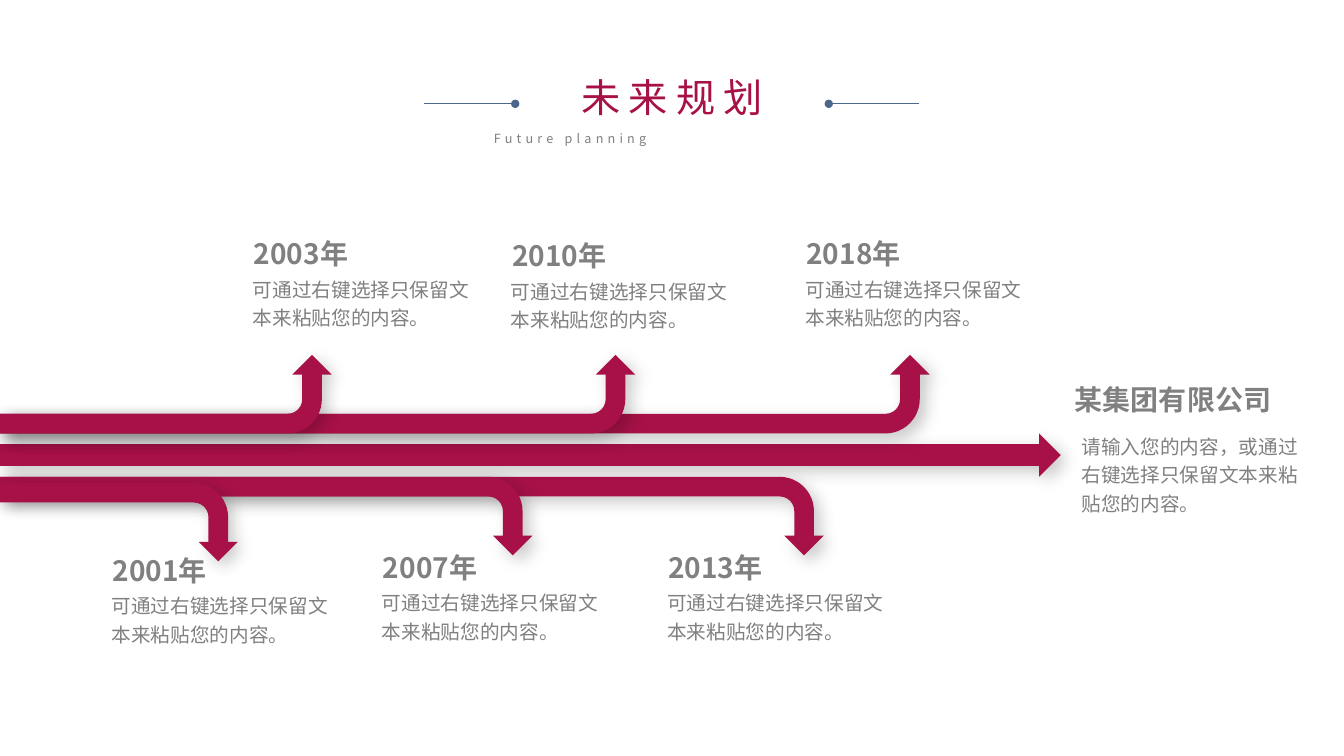
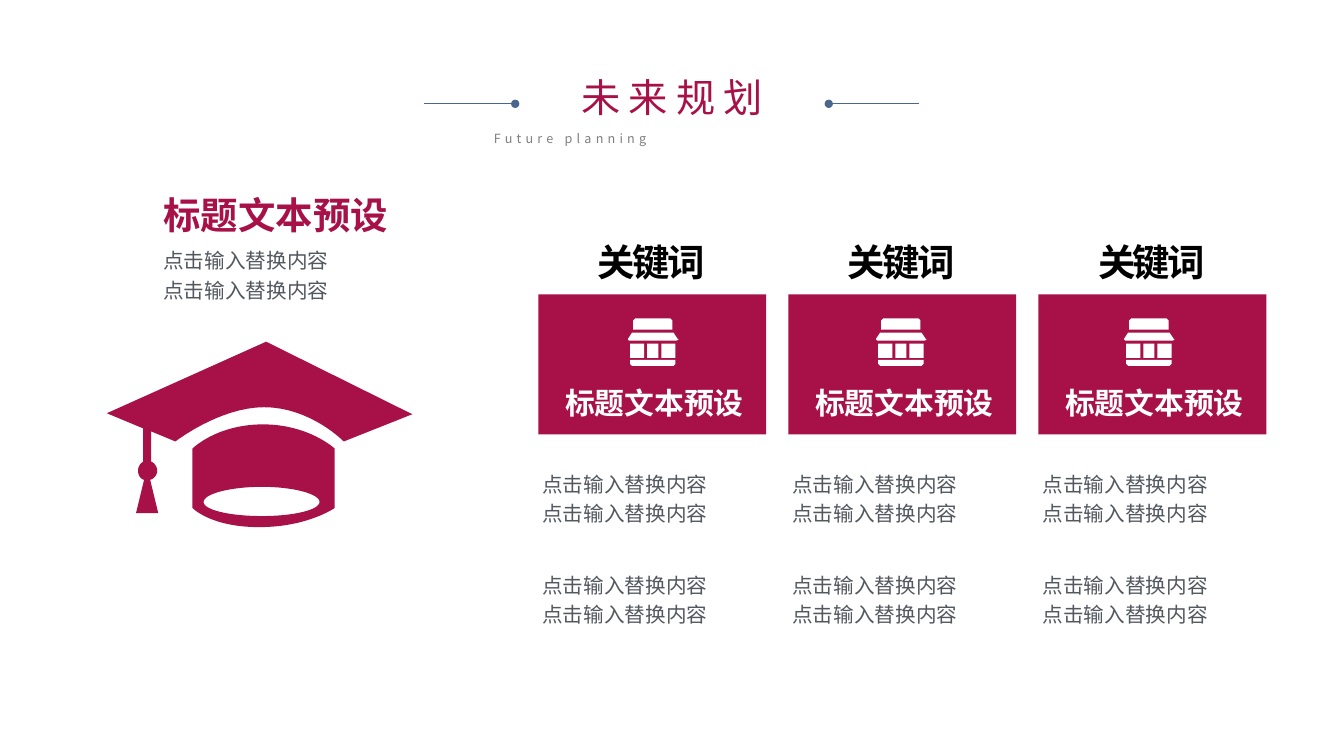
from lxml.etree import SubElement
from pptx import Presentation
from pptx.dml.color import RGBColor
from pptx.enum.shapes import MSO_CONNECTOR, MSO_SHAPE
from pptx.enum.text import MSO_ANCHOR, MSO_AUTO_SIZE, PP_ALIGN
from pptx.oxml.ns import qn
from pptx.util import Pt

EMU_PER_PX = 9144  # 100 px to the inch
FONT = "Noto Sans CJK SC"
CRIMSON = RGBColor(0xA7, 0x11, 0x47)
STEEL = RGBColor(0x4C, 0x67, 0x8E)
GRAY = RGBColor(0x80, 0x80, 0x80)
SLATE = RGBColor(0x53, 0x58, 0x5F)
WHITE = RGBColor(0xFF, 0xFF, 0xFF)
BLACK = RGBColor(0x00, 0x00, 0x00)

TITLE, SUBTITLE = "未来规划", "Future planning"
TITLE_RULES = [(421, 511), (912, 822)]
TITLE_RULE_Y = 103

MILESTONE_TEXT = "可通过右键选择只保留文本来粘贴您的内容。"
MILESTONES = [  # year, left, top
    ("2001年", 102, 544),
    ("2003年", 242, 230),
    ("2007年", 370, 541),
    ("2010年", 498, 232),
    ("2013年", 653, 541),
    ("2018年", 790, 230),
]
COMPANY = "某集团有限公司"
COMPANY_TEXT = "请输入您的内容，或通过右键选择只保留文本来粘贴您的内容。"
MAIN_ARROW = (0, 430, 1052, 43)
BRANCH_HEIGHT = 78
BRANCHES = [  # length, top, points up
    (922, 352, True),
    (817, 473, False),
    (630, 352, True),
    (329, 352, True),
    (528, 473, False),
    (236, 479, False),
]

HEADING = "标题文本预设"
KEYWORD = "关键词"
BODY_LINES = ["点击输入替换内容"] * 2
CARD_COUNT, CARD_LEFT, CARD_STEP = 3, 534, 248
CARD_BODY_TOPS = [458, 558]
ICON_LEFT, ICON_STEP, ICON_TOP = 623, 246, 316

# Outlines: a pair is a corner, six numbers are a cubic curve.
SHOP_ICON = [
    [(2, 41), (47, 41), (47, 45), (45, 47), (4, 47), (2, 45)],
    *[[(left, 25), (right, 25), (right, 39), (left, 39)]
      for left, right in [(2, 16), (19, 30), (33, 47)]],
    [(4, 14), (45, 14), (49, 20), (50, 21), (48, 22), (1, 22), (0, 21), (0, 20)],
    [(7, 0), (42, 0), (44, 2), (44, 11), (5, 11), (5, 2)],
]
GRADUATION_CAP = [
    [(341, 438), (341, 438, 308, 404, 262, 404), (218, 404, 174, 438, 174, 438),
     (150, 428), (150, 458), (153, 459, 156, 463, 156, 467),
     (156, 471, 153, 475, 149, 476), (157, 509), (135, 509), (143, 476),
     (139, 475, 137, 471, 137, 467), (137, 463, 139, 460, 142, 458),
     (142, 425), (106, 410), (264, 339), (409, 411)],
    [(261, 421), (306, 421, 332, 445, 332, 445), (332, 504),
     (332, 504, 305, 523, 257, 523), (209, 523, 191, 504, 191, 504),
     (191, 445), (191, 445, 215, 421, 261, 421)],
    [(260, 512), (291, 512, 317, 506, 317, 498), (317, 490, 291, 483, 260, 483),
     (228, 483, 202, 490, 202, 498), (202, 506, 228, 512, 260, 512)],
]
CURVE_STEPS = 16


def px(*lengths):
    return [round(length * EMU_PER_PX) for length in lengths]


def add_text(slide, box, lines, size, color, bold=False, align=None, spacing=None,
             line_spacing=None, anchor=MSO_ANCHOR.TOP, insets=(10, 5), grow=True):
    frame = slide.shapes.add_textbox(*px(*box)).text_frame
    frame.word_wrap = True
    frame.auto_size = MSO_AUTO_SIZE.SHAPE_TO_FIT_TEXT if grow else MSO_AUTO_SIZE.NONE
    frame.vertical_anchor = anchor
    frame.margin_left, frame.margin_top = px(*insets)
    frame.margin_right, frame.margin_bottom = px(*insets)
    frame.text = "\n".join(lines)
    for paragraph in frame.paragraphs:
        paragraph.alignment = align
        paragraph.line_spacing = line_spacing
        font = paragraph.font
        font.name, font.size, font.bold = FONT, Pt(size), bold
        font.color.rgb = color
        defaults = paragraph._p.pPr.find(qn("a:defRPr"))
        SubElement(defaults, qn("a:ea"), typeface=FONT)
        if spacing is not None:
            defaults.set("spc", str(spacing * 100))


def paint(shape, color):
    shape.fill.solid()
    shape.fill.fore_color.rgb = color
    shape.line.fill.background()
    shape.shadow.inherit = False
    return shape


def add_shape(slide, kind, box, color):
    return paint(slide.shapes.add_shape(kind, *px(*box)), color)


def add_soft_shadow(shape):
    effects = shape.element.spPr.find(qn("a:effectLst"))
    shadow = SubElement(effects, qn("a:outerShdw"), blurRad=str(Pt(12)), dist=str(Pt(5)),
                        dir="2700000", algn="tl", rotWithShape="0")
    color = SubElement(shadow, qn("a:srgbClr"), val=str(BLACK))
    SubElement(color, qn("a:alpha"), val="21000")


def flatten(outline):
    """Turn corners and cubic curves into a list of points."""
    points = []
    for part in outline:
        if len(part) == 2:
            points.append(part)
            continue
        start_x, start_y = points[-1]
        x1, y1, x2, y2, end_x, end_y = part
        for step in range(1, CURVE_STEPS + 1):
            t = step / CURVE_STEPS
            u = 1 - t
            a, b, c, d = u ** 3, 3 * u * u * t, 3 * u * t * t, t ** 3
            points.append((a * start_x + b * x1 + c * x2 + d * end_x,
                           a * start_y + b * y1 + c * y2 + d * end_y))
    return points


def add_outlines(slide, outlines, color, left=0, top=0):
    builder = None
    for outline in outlines:
        first, *rest = [px(*point) for point in flatten(outline)]
        if builder is None:
            builder = slide.shapes.build_freeform(*first)
        else:
            builder.move_to(*first)
        builder.add_line_segments(rest, close=True)
    paint(builder.convert_to_shape(*px(left, top)), color)


def add_header(slide):
    add_text(slide, (480, 125, 374, 25), [SUBTITLE], 9, GRAY,
             align=PP_ALIGN.JUSTIFY, spacing=3)
    add_text(slide, (516, 68, 301, 57), [TITLE], 28, CRIMSON,
             align=PP_ALIGN.CENTER, spacing=6)
    for start, end in TITLE_RULES:
        rule = slide.shapes.add_connector(
            MSO_CONNECTOR.STRAIGHT, *px(start, TITLE_RULE_Y, end, TITLE_RULE_Y))
        rule.line.color.rgb = STEEL
        rule.line.width = Pt(0.5)
        properties = rule.element.spPr
        SubElement(properties.find(qn("a:ln")), qn("a:tailEnd"), type="oval")
        SubElement(properties, qn("a:effectLst"))


def add_branch(slide, length, top, points_up):
    """Add a bent arrow from the left edge, turned so that it ends up or down."""
    height = BRANCH_HEIGHT
    box = ((length - height) / 2, top - (length - height) / 2, height, length)
    arrow = add_shape(slide, MSO_SHAPE.BENT_ARROW, box, CRIMSON)
    arrow.rotation = 90
    if points_up:
        arrow.element.spPr.xfrm.set("flipH", "1")
    add_soft_shadow(arrow)


def build_timeline(slide):
    add_soft_shadow(add_shape(slide, MSO_SHAPE.RIGHT_ARROW, MAIN_ARROW, CRIMSON))
    for branch in BRANCHES:
        add_branch(slide, *branch)
    add_text(slide, (1021, 375, 285, 44), [COMPANY], 20, GRAY,
             bold=True, align=PP_ALIGN.CENTER)
    add_text(slide, (1063, 422, 243, 123), [COMPANY_TEXT], 14, GRAY, line_spacing=1.2)
    for year, left, top in MILESTONES:
        add_text(slide, (left, top, 142, 44), [year], 20, GRAY, bold=True)
        add_text(slide, (left - 1, top + 36, 243, 95), [MILESTONE_TEXT], 14, GRAY,
                 line_spacing=1.2)


def add_card(slide, left, icon_left):
    add_shape(slide, MSO_SHAPE.RECTANGLE, (left, 292, 226, 139), CRIMSON)
    centered = dict(bold=True, align=PP_ALIGN.CENTER, anchor=MSO_ANCHOR.MIDDLE, grow=False)
    add_text(slide, (left, 237, 224, 45), [KEYWORD], 26.7, BLACK,
             spacing=-2, insets=(13, 7), **centered)
    add_text(slide, (left + 6, 379, 218, 40), [HEADING], 21.3, WHITE, **centered)
    for top in CARD_BODY_TOPS:
        add_text(slide, (left - 6, top, 236, 69), BODY_LINES, 14.7, SLATE,
                 line_spacing=1.2, anchor=MSO_ANCHOR.MIDDLE)
    add_outlines(slide, SHOP_ICON, WHITE, icon_left, ICON_TOP)


def build_cards(slide):
    add_text(slide, (162, 241, 286, 87), BODY_LINES, 14.7, SLATE,
             line_spacing=1.2, insets=(0, 0), grow=False)
    add_text(slide, (162, 191, 286, 34), [HEADING], 26.7, CRIMSON,
             bold=True, insets=(0, 0), grow=False)
    for index in range(CARD_COUNT):
        add_card(slide, CARD_LEFT + index * CARD_STEP, ICON_LEFT + index * ICON_STEP)
    add_outlines(slide, GRADUATION_CAP, CRIMSON)


def main():
    presentation = Presentation()
    presentation.slide_width, presentation.slide_height = px(1333, 750)
    for build in (build_timeline, build_cards):
        slide = presentation.slides.add_slide(presentation.slide_layouts[6])
        add_header(slide)
        build(slide)
    presentation.save("out.pptx")


if __name__ == "__main__":
    main()
